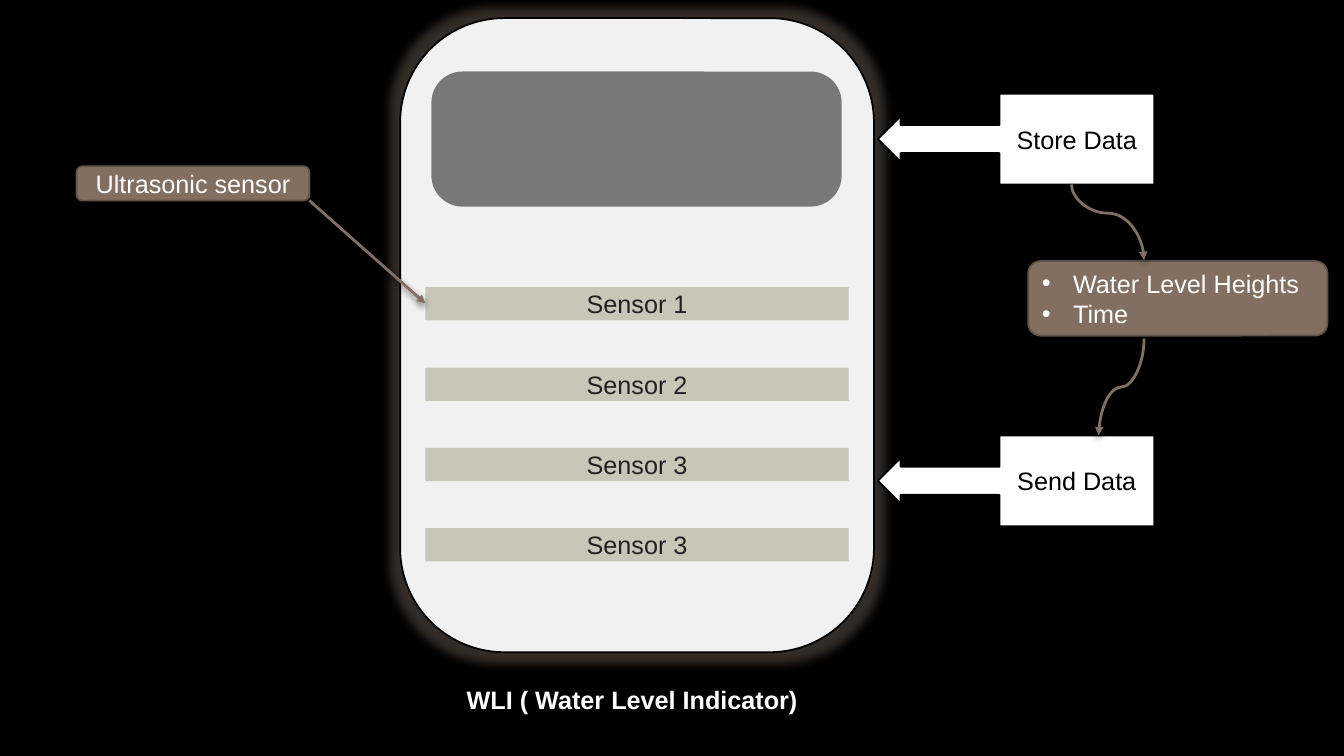
from dataclasses import dataclass
from typing import Optional

import pptx
import pptx.dml.color
import pptx.enum.shapes
import pptx.enum.text
import pptx.oxml
import pptx.oxml.ns
import pptx.util

RGB = pptx.dml.color.RGBColor
SHAPE = pptx.enum.shapes.MSO_SHAPE
CONNECTOR = pptx.enum.shapes.MSO_CONNECTOR
ALIGN = pptx.enum.text.PP_ALIGN
MIDDLE = pptx.enum.text.MSO_ANCHOR.MIDDLE
qn = pptx.oxml.ns.qn

BLACK = RGB(0x00, 0x00, 0x00)
WHITE = RGB(0xFF, 0xFF, 0xFF)
CASING = RGB(0xF1, 0xF1, 0xF1)
SAND = RGB(0xA1, 0x9C, 0x7F)
INK = RGB(0x21, 0x21, 0x23)
BROWN = RGB(0x82, 0x6F, 0x61)
DARK_BROWN = RGB(0x60, 0x52, 0x48)

# The slide is a grid of 160 columns by 90 rows.
SLIDE_WIDTH = pptx.util.Inches(13.33)
SLIDE_HEIGHT = pptx.util.Inches(7.5)
COLUMN = SLIDE_WIDTH / 160
ROW = SLIDE_HEIGHT / 90
FONT_NAME = "Arial"
FONT_SIZE = pptx.util.Pt(18)
SENSOR_TOP, SENSOR_PITCH = 34.2, 9.56


@dataclass(frozen=True)
class Area:
    column: float
    row: float
    columns: float
    rows: float

    def emu(self) -> tuple[int, int, int, int]:
        return (round(self.column * COLUMN), round(self.row * ROW),
                round(self.columns * COLUMN), round(self.rows * ROW))


@dataclass(frozen=True)
class Block:
    area: Area
    kind: int
    fill: RGB
    outline: Optional[RGB] = None
    text: str = ""
    ink: RGB = WHITE
    opacity: int = 100
    adjustments: tuple[float, ...] = ()


@dataclass(frozen=True)
class Link:
    start: tuple[float, float]
    end: tuple[float, float]
    bend: Optional[float] = None


def drawing_xml(xml: str):
    """Parse one element of the drawing namespace."""
    tag, rest = xml[1:].split(" ", 1)
    return pptx.oxml.parse_xml(f"<{tag} {pptx.oxml.ns.nsdecls('a')} {rest}")


def shadow_xml(opacity: int, blur: int, distance: int, angle: int):
    return drawing_xml(
        f'<a:outerShdw blurRad="{blur * 12700}" dist="{distance * 12700}" '
        f'dir="{angle * 60000}" algn="ctr" rotWithShape="0"><a:srgbClr val="{BLACK}">'
        f'<a:alpha val="{opacity * 1000}"/></a:srgbClr></a:outerShdw>')


def add_run(paragraph, text: str, ink: RGB, bold: bool = False) -> None:
    run = paragraph.add_run()
    run.text = text
    run.font.name = FONT_NAME
    run.font.size = FONT_SIZE
    run.font.bold = bold
    run.font.color.rgb = ink


def paint(shape, fill: RGB, outline: Optional[RGB]) -> None:
    shape.fill.solid()
    shape.fill.fore_color.rgb = fill
    if outline is None:
        shape.line.fill.background()
    else:
        shape.line.color.rgb = outline
        shape.line.width = pptx.util.Pt(1.25)


def add_block(slide, block: Block):
    shape = slide.shapes.add_shape(block.kind, *block.area.emu())
    shape.shadow.inherit = False
    for index, value in enumerate(block.adjustments):
        shape.adjustments[index] = value
    paint(shape, block.fill, block.outline)
    if block.opacity < 100:
        color = shape.element.spPr.find(qn("a:solidFill")).find(qn("a:srgbClr"))
        color.append(drawing_xml(f'<a:alpha val="{block.opacity * 1000}"/>'))
    if block.text:
        frame = shape.text_frame
        frame.word_wrap = True
        frame.vertical_anchor = MIDDLE
        frame.paragraphs[0].alignment = ALIGN.CENTER
        add_run(frame.paragraphs[0], block.text, block.ink)
    return shape


def add_link(slide, link: Link) -> None:
    """Draw an arrow; a link with a bend is an S curve that leaves vertically."""
    x1, x2 = (round(point[0] * COLUMN) for point in (link.start, link.end))
    y1, y2 = (round(point[1] * ROW) for point in (link.start, link.end))
    if link.bend is None:
        arrow = slide.shapes.add_connector(CONNECTOR.STRAIGHT, x1, y1, x2, y2)
    else:
        # The unrotated frame lies on its side around the same centre.
        width, height = y2 - y1, abs(x2 - x1)
        left, top = (x1 + x2 - width) // 2, (y1 + y2 - height) // 2
        arrow = slide.shapes.add_connector(
            CONNECTOR.CURVE, left, top, left + width, top + height)
        frame = arrow.element.spPr.find(qn("a:xfrm"))
        rightward = x2 > x1
        frame.set("rot", str((270 if rightward else 90) * 60000))
        if rightward:
            frame.set("flipH", "1")
        geometry = arrow.element.spPr.find(qn("a:prstGeom"))
        for guides in geometry.findall(qn("a:avLst")):
            geometry.remove(guides)
        geometry.append(drawing_xml(
            f'<a:avLst ><a:gd name="adj1" fmla="val {round(link.bend * 100000)}"/></a:avLst>'))
    arrow.line.color.rgb = BROWN
    arrow.line.width = pptx.util.Pt(2)
    properties = arrow.element.spPr
    properties.find(qn("a:ln")).append(drawing_xml('<a:tailEnd type="triangle"/>'))
    effects = drawing_xml("<a:effectLst />")
    effects.append(shadow_xml(60, 5, 2, 90))
    properties.append(effects)


def place(placeholder, area: Area):
    """Move a placeholder and return its text frame."""
    (placeholder.left, placeholder.top,
     placeholder.width, placeholder.height) = area.emu()
    frame = placeholder.text_frame
    frame.word_wrap = True
    frame.auto_size = pptx.enum.text.MSO_AUTO_SIZE.NONE
    frame.vertical_anchor = MIDDLE
    return frame


def fill_caption(caption) -> None:
    paragraph = place(caption, Area(54.36, 80.88, 42.96, 4.8)).paragraphs[0]
    paragraph.alignment = ALIGN.LEFT
    add_run(paragraph, "WLI ( Water Level Indicator)", WHITE, bold=True)


def fill_record(record, fields: list[str]) -> None:
    frame = place(record, Area(122.4, 31.08, 35.64, 8.88))
    record.element.spPr.insert(
        1, drawing_xml('<a:prstGeom prst="roundRect"><a:avLst/></a:prstGeom>'))
    paint(record, BROWN, DARK_BROWN)
    indent = pptx.util.Inches(0.31)
    for index, field in enumerate(fields):
        paragraph = frame.add_paragraph() if index else frame.paragraphs[0]
        properties = paragraph._p.get_or_add_pPr()
        properties.set("marL", str(indent))
        properties.set("indent", str(-indent))
        properties.append(drawing_xml('<a:buFont typeface="Arial"/>'))
        properties.append(drawing_xml('<a:buChar char="•"/>'))
        paragraph.space_before = pptx.util.Pt(0)
        add_run(paragraph, field, WHITE)


def add_casing(slide) -> None:
    casing = add_block(slide, Block(Area(47.64, 2.16, 56.4, 75.48), SHAPE.ROUNDED_RECTANGLE,
                                    CASING, BLACK, adjustments=(0.22,)))
    effects = casing.element.spPr.find(qn("a:effectLst"))
    effects.append(drawing_xml(
        f'<a:glow rad="{pptx.util.Pt(14)}"><a:srgbClr val="{BROWN}">'
        '<a:alpha val="40000"/></a:srgbClr></a:glow>'))
    effects.append(shadow_xml(40, 4, 3, 315))


def main() -> None:
    deck = pptx.Presentation()
    deck.slide_width, deck.slide_height = SLIDE_WIDTH, SLIDE_HEIGHT
    slide = deck.slides.add_slide(deck.slide_layouts[1])
    slide.background.fill.solid()
    slide.background.fill.fore_color.rgb = BLACK

    fill_caption(slide.shapes.title)
    fill_record(slide.placeholders[1], ["Water Level Heights", "Time"])
    add_casing(slide)

    sensors = [
        Block(Area(50.64, SENSOR_TOP + index * SENSOR_PITCH, 50.4, 3.96),
              SHAPE.RECTANGLE, SAND, text=name, ink=INK, opacity=50)
        for index, name in enumerate(["Sensor 1", "Sensor 2", "Sensor 3", "Sensor 3"])]
    display = Block(Area(51.36, 8.52, 48.84, 16.08), SHAPE.ROUNDED_RECTANGLE,
                    BLACK, opacity=50, adjustments=(0.23,))
    actions = [
        Block(Area(104.52, row, 32.88, 10.8), SHAPE.LEFT_ARROW_CALLOUT, WHITE, BLACK,
              name, BLACK, adjustments=(0.31, 0.25, 0.25, 0.56))
        for name, row in (("Store Data", 11.16), ("Send Data", 51.84))]
    sensor_label = Block(Area(9.12, 19.8, 27.72, 4.08), SHAPE.ROUNDED_RECTANGLE,
                         BROWN, DARK_BROWN, "Ultrasonic sensor")
    for block in [*sensors, display, *actions, sensor_label]:
        add_block(slide, block)

    for link in (Link((36.84, 23.88), (50.64, 36.12)),
                 Link((127.56, 21.96), (136.2, 30.96), bend=0.38),
                 Link((136.2, 40.32), (130.8, 51.84), bend=0.5)):
        add_link(slide, link)
    deck.save("out.pptx")


if __name__ == "__main__":
    main()
